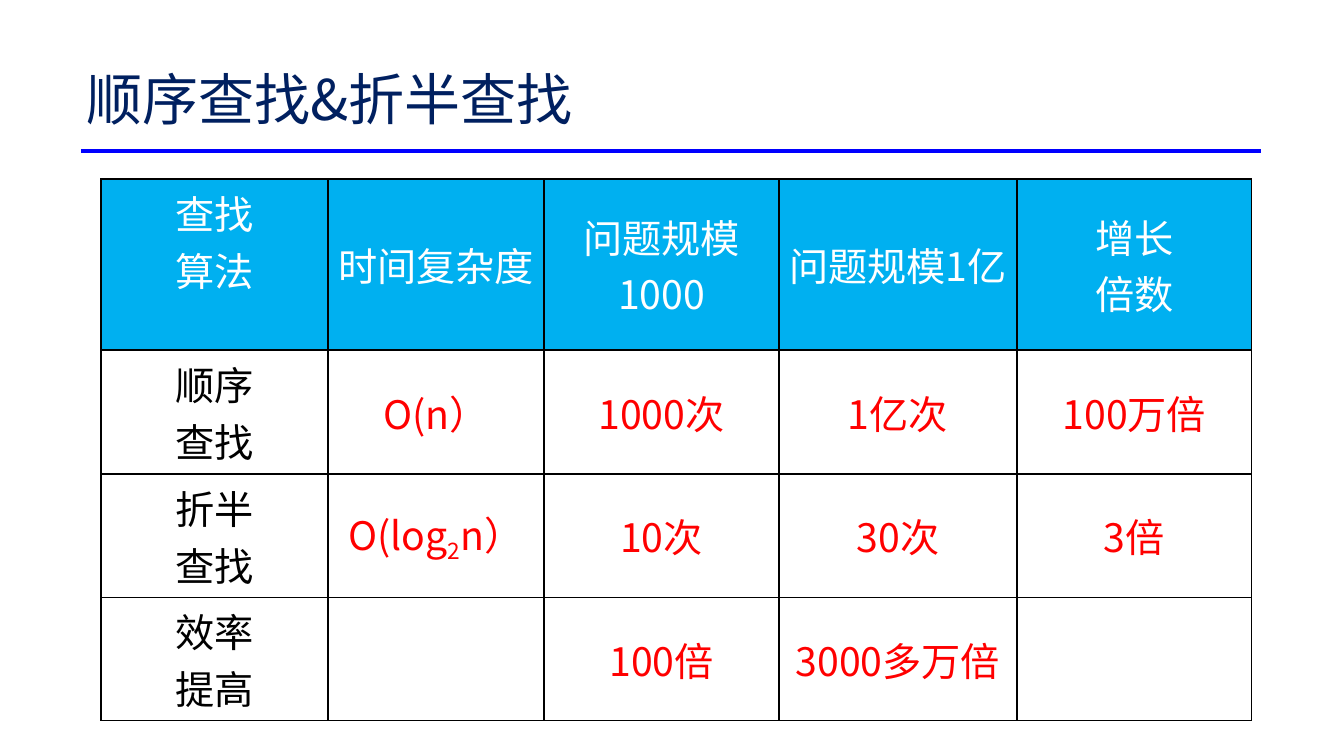
from dataclasses import dataclass

from lxml import etree
from pptx import Presentation
from pptx import util as u
from pptx.dml.color import RGBColor
from pptx.enum import shapes, text
from pptx.oxml.ns import qn

EMU_PER_PX = 914400 / 100.8
FONT = "Noto Sans CJK SC"
NAVY, BLUE, SKY = "002060", "0000FF", "00B0F0"
WHITE, BLACK, RED = "FFFFFF", "000000", "FF0000"

COLUMN_WIDTHS = [227, 216, 235, 238, 235]
ROW_HEIGHTS = [171, 124, 123, 123]
CELL_MARGIN = 9
HEADING_BOTTOM_MARGIN = 52


@dataclass(frozen=True)
class Span:
    words: str
    baseline: int = 0


Paragraphs = list[list[Span]]


def lines(*words: str) -> Paragraphs:
    return [[Span(line)] for line in words]


COMPARISON: list[list[Paragraphs]] = [
    [lines("查找", "算法"), lines("时间复杂度"), lines("问题规模1000"),
     lines("问题规模1亿"), lines("增长", "倍数")],
    [lines("顺序", "查找"), lines("O(n）"), lines("1000次"),
     lines("1亿次"), lines("100万倍")],
    [lines("折半", "查找"), [[Span("O(log"), Span("2", -25), Span("n）")]],
     lines("10次"), lines("30次"), lines("3倍")],
    [lines("效率", "提高"), [], lines("100倍"), lines("3000多万倍"), []],
]


def px(length: int) -> u.Emu:
    return u.Emu(round(length * EMU_PER_PX))


def colour(code: str) -> RGBColor:
    return RGBColor.from_string(code)


def write(frame, paragraphs: Paragraphs, *, size: int, color: str,
          align=text.PP_ALIGN.LEFT, spacing: float | None = None) -> None:
    for index, spans in enumerate(paragraphs):
        para = frame.add_paragraph() if index else frame.paragraphs[0]
        para.alignment = align
        para.line_spacing = spacing
        for item in spans:
            span = para.add_run()
            span.text = item.words
            span.font.size = u.Pt(size)
            span.font.color.rgb = colour(color)
            span.font.name = FONT
            properties = span._r.get_or_add_rPr()
            etree.SubElement(properties, qn("a:ea"), typeface=FONT)
            if item.baseline:
                properties.set("baseline", str(item.baseline * 1000))


def add_borders(cell, color: str, width: u.Length) -> None:
    """Draw all four edges; call before the cell is filled."""
    properties = cell._tc.get_or_add_tcPr()
    for edge in ("lnL", "lnR", "lnT", "lnB"):
        line = etree.SubElement(properties, qn(f"a:{edge}"), w=str(width))
        fill = etree.SubElement(line, qn("a:solidFill"))
        etree.SubElement(fill, qn("a:srgbClr"), val=color)


def add_title(page) -> None:
    box = page.shapes.add_textbox(px(77), px(60), px(1096), px(84))
    frame = box.text_frame
    frame.word_wrap = True
    frame.vertical_anchor = text.MSO_ANCHOR.MIDDLE
    write(frame, lines("顺序查找&折半查找"), size=40, color=NAVY, spacing=0.9)


def add_rule(page) -> None:
    rule = page.shapes.add_connector(
        shapes.MSO_CONNECTOR.STRAIGHT, px(81), px(151), px(1261), px(151))
    rule.line.color.rgb = colour(BLUE)
    rule.line.width = u.Pt(3)
    etree.SubElement(rule._element.spPr, qn("a:effectLst"))


def add_comparison(page) -> None:
    table = page.shapes.add_table(
        len(ROW_HEIGHTS), len(COLUMN_WIDTHS), px(101), px(179),
        px(sum(COLUMN_WIDTHS)), px(sum(ROW_HEIGHTS))).table
    table.first_row = table.horz_banding = False
    for column, width in zip(table.columns, COLUMN_WIDTHS):
        column.width = px(width)
    for row, height in zip(table.rows, ROW_HEIGHTS):
        row.height = px(height)

    for r, entries in enumerate(COMPARISON):
        for c, paragraphs in enumerate(entries):
            cell = table.cell(r, c)
            cell.margin_left = cell.margin_right = px(CELL_MARGIN)
            cell.vertical_anchor = text.MSO_ANCHOR.MIDDLE
            add_borders(cell, BLACK, u.Pt(1))
            cell.fill.solid()
            cell.fill.fore_color.rgb = colour(WHITE if r else SKY)
            color = WHITE if r == 0 else BLACK if c == 0 else RED
            write(cell.text_frame, paragraphs, size=28, color=color,
                  align=text.PP_ALIGN.CENTER)
    table.cell(0, 0).margin_bottom = px(HEADING_BOTTOM_MARGIN)


def main() -> None:
    deck = Presentation()
    deck.slide_width, deck.slide_height = px(1344), px(756)
    page = deck.slides.add_slide(deck.slide_layouts[6])
    add_rule(page)
    add_comparison(page)
    add_title(page)
    deck.save("out.pptx")


if __name__ == "__main__":
    main()
